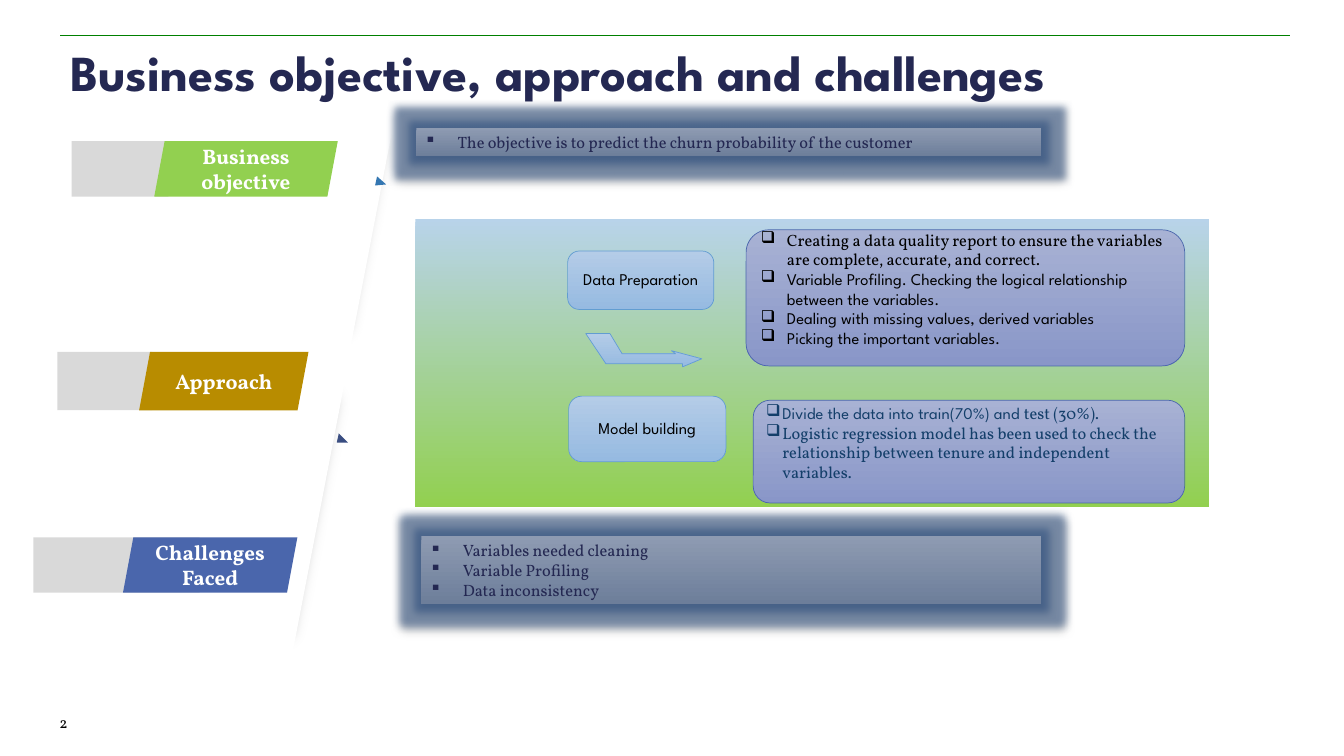
import pptx
import pptx.util
import pptx.dml.color
import pptx.enum.shapes
import pptx.enum.text
import pptx.oxml
from pptx.util import Inches

SERIF = "Vollkorn"
SANS = "League Spartan"
KIND = pptx.enum.shapes.MSO_SHAPE
ALIGN = pptx.enum.text.PP_ALIGN
ANCHOR = pptx.enum.text.MSO_ANCHOR
SPACE = 'xmlns:a="http://schemas.openxmlformats.org/drawingml/2006/main"'
SOFT = '<a:softEdge rad="158750"/>'
GLOW = ('<a:glow rad="139700"><a:srgbClr val="2F5080"><a:alpha val="55000"/>'
        '</a:srgbClr></a:glow><a:outerShdw blurRad="39370" dist="22860" dir="5400000">'
        '<a:srgbClr val="000000"><a:alpha val="35000"/></a:srgbClr></a:outerShdw>')
BLUE = ("B4CCE7", "96BAE1")
SLATE = ("8E9BB2", "6D7E9A")
LILAC = ("A8B2D4", "8996C8")
SIDE = 0.08


def rgb(code):
    """Turn a hex string into a colour."""
    return pptx.dml.color.RGBColor.from_string(code)


def paint(shape, fill, line=None, effect=None):
    """Set a plain or two-stop fill, the outline and the effects."""
    shape.shadow.inherit = False
    if isinstance(fill, tuple):
        shape.fill.gradient()
        shape.fill.gradient_angle = 270
        for stop, code in zip(shape.fill.gradient_stops, fill):
            stop.color.rgb = rgb(code)
    else:
        shape.fill.solid()
        shape.fill.fore_color.rgb = rgb(fill)
    if line:
        shape.line.color.rgb = rgb(line)
        shape.line.width = pptx.util.Pt(0.5)
    else:
        shape.line.fill.background()
    if effect:
        root = pptx.oxml.parse_xml(f"<a:effectLst {SPACE}>{effect}</a:effectLst>")
        holder = shape._element.spPr.find(pptx.oxml.ns.qn("a:effectLst"))
        for child in list(root):
            holder.append(child)


def block(slide, kind, box, fill, line=None, adj=None, turn=0, effect=None):
    """Add a preset shape."""
    shape = slide.shapes.add_shape(kind, *map(Inches, box))
    if adj is not None:
        shape.adjustments[0] = adj
    shape.rotation = turn
    paint(shape, fill, line, effect)
    return shape


def outline(slide, points, fill, line=None):
    """Add a closed outline through points."""
    points = [(Inches(x), Inches(y)) for x, y in points]
    form = slide.shapes.build_freeform(*points[0], scale=1.0)
    form.add_line_segments(points[1:], close=True)
    paint(form.convert_to_shape(), fill, line)


def inset(shape, side, top, base):
    """Set the text margins."""
    frame = shape.text_frame
    frame.margin_left = frame.margin_right = Inches(side)
    frame.margin_top, frame.margin_bottom = Inches(top), Inches(base)


def style(run, size, face, code, bold=False):
    """Format one run."""
    run.font.size = pptx.util.Pt(size)
    run.font.name = face
    run.font.bold = bold
    run.font.color.rgb = rgb(code)


def label(shape, text, size, face, code, bold=False, align=ALIGN.CENTER,
          anchor=ANCHOR.MIDDLE, pitch=None):
    """Write one paragraph in a shape."""
    frame = shape.text_frame
    frame.word_wrap = True
    frame.vertical_anchor = anchor
    frame.text = text
    para = frame.paragraphs[0]
    para.alignment = align
    if pitch:
        para.line_spacing = pitch
    style(para.runs[0], size, face, code, bold)


def listing(shape, items, mark, indent, code, anchor):
    """Write bulleted items, each a list of text and font pairs."""
    frame = shape.text_frame
    frame.word_wrap = True
    frame.vertical_anchor = anchor
    for index, item in enumerate(items):
        para = frame.add_paragraph() if index else frame.paragraphs[0]
        para.alignment = ALIGN.LEFT
        props = para._p.get_or_add_pPr()
        props.set("marL", str(Inches(indent)))
        props.set("indent", str(-Inches(indent)))
        props.append(pptx.oxml.parse_xml(f'<a:buChar {SPACE} char="{mark}"/>'))
        for text, face in item:
            run = para.add_run()
            run.text = text
            style(run, 11.7, face, code)


def divide(slide):
    """Draw the header rule and the slanted dividers with pointers."""
    rule = slide.shapes.add_connector(
        pptx.enum.shapes.MSO_CONNECTOR.STRAIGHT,
        Inches(0.6), Inches(0.35), Inches(12.79), Inches(0.35))
    rule.line.color.rgb = rgb("008000")
    rule.line.width = pptx.util.Pt(0.5)
    rule._element.spPr.append(pptx.oxml.parse_xml(f"<a:effectLst {SPACE}/>"))
    outline(slide, [(3.36, 4.3), (3.34, 4.39), (3.45, 4.39)], "384C81")
    for shade, cover in [((2.01, 3.58, 1.35, 2.93), (1.85, 3.38, 1.33, 3.18)),
                         ((2.52, 1.07, 1.35, 2.41), (2.37, 0.91, 1.33, 2.62))]:
        block(slide, KIND.RECTANGLE, shade, "A6A6A6", turn=10.9, effect=SOFT)
        block(slide, KIND.RECTANGLE, cover, "FFFFFF", turn=10.9)
    outline(slide, [(3.74, 1.75), (3.72, 1.84), (3.83, 1.83)], "3477B2")


def tag(slide, text, tail, head, fill):
    """Draw a section tag with its grey tail."""
    block(slide, KIND.RECTANGLE, tail, "D9D9D9")
    shape = block(slide, KIND.PARALLELOGRAM, head, fill, adj=0.187)
    label(shape, text, 15, SERIF, "FFFFFF", True)


def panel(slide, box, items):
    """Draw a glowing box with square bullets."""
    shape = block(slide, KIND.RECTANGLE, box, SLATE, effect=GLOW)
    inset(shape, SIDE, 0.04, 0.04)
    listing(shape, [[(item, SERIF)] for item in items], "▪", 0.33,
            "242852", ANCHOR.TOP)


def step(slide, text, box):
    """Draw a step of the approach."""
    shape = block(slide, KIND.ROUNDED_RECTANGLE, box, BLUE, "629DD1", 0.2)
    inset(shape, 0.12, 0.12, 0.12)
    label(shape, text, 11.7, SANS, "000000", pitch=0.9)


def detail(slide, box, items, indent, code):
    """Draw the details of a step."""
    shape = block(slide, KIND.ROUNDED_RECTANGLE, box, LILAC, "4A66AC")
    inset(shape, SIDE, 0.04, 0.22)
    listing(shape, items, "❑", indent, code, ANCHOR.MIDDLE)


def main():
    """Build the slide."""
    deck = pptx.Presentation()
    deck.slide_width, deck.slide_height = Inches(13.33), Inches(7.5)
    slide = deck.slides.add_slide(deck.slide_layouts[6])
    divide(slide)
    page = slide.shapes.add_textbox(*map(Inches, (-0.02, 6.89, 0.79, 0.55)))
    label(page, "2", 11, SERIF, "000000", align=ALIGN.RIGHT)
    tag(slide, "Approach", (0.57, 3.49, 0.94, 0.58), (1.38, 3.49, 1.68, 0.58), "B88C00")
    tag(slide, "Challenges Faced", (0.33, 5.33, 1.65, 0.55),
        (1.22, 5.33, 1.73, 0.55), "4A66AC")
    tag(slide, "Business objective", (0.71, 1.4, 0.96, 0.55),
        (1.53, 1.4, 1.82, 0.55), "92D050")
    panel(slide, (4.13, 1.27, 6.2, 0.28),
          ["The objective is to predict the churn probability of the customer"])
    panel(slide, (4.18, 5.32, 6.15, 0.67),
          ["Variables needed cleaning", "Variable Profiling", "Data inconsistency"])
    block(slide, KIND.RECTANGLE, (4.12, 2.17, 7.87, 2.86), ("B8D3EA", "92D050"))
    outline(slide, [(5.81, 3.31), (6.05, 3.31), (6.17, 3.51), (6.7, 3.51),
                    (6.66, 3.48), (6.96, 3.56), (6.77, 3.64), (6.77, 3.61),
                    (6.01, 3.61)], BLUE, "629DD1")
    step(slide, "Data Preparation", (5.63, 2.49, 1.45, 0.58))
    step(slide, "Model building", (5.64, 3.93, 1.56, 0.65))
    detail(slide, (7.4, 2.28, 4.35, 1.35), [
        [("Creating a data quality report to ensure the variables are complete, "
          "accurate, and correct.", SERIF)],
        [("Variable Profiling. Checking the logical relationship between the "
          "variables.", SANS)],
        [("Dealing with missing values, derived variables", SANS)],
        [("Picking the important variables.", SANS)]], 0.26, "000000")
    detail(slide, (7.47, 3.97, 4.28, 1.02), [
        [("Divide the data into train(70%) and ", SANS), ("test (30%).", SERIF)],
        [("Logistic regression model has been used to check the relationship "
          "between tenure and independent variables.", SERIF)]], 0.16, "143F6A")
    title = slide.shapes.add_textbox(*map(Inches, (0.6, 0.34, 11.33, 0.71)))
    label(title, "Business objective, approach and challenges", 36, SANS,
          "242852", True, ALIGN.LEFT, ANCHOR.BOTTOM, 0.8)
    deck.save("out.pptx")


if __name__ == "__main__":
    main()
